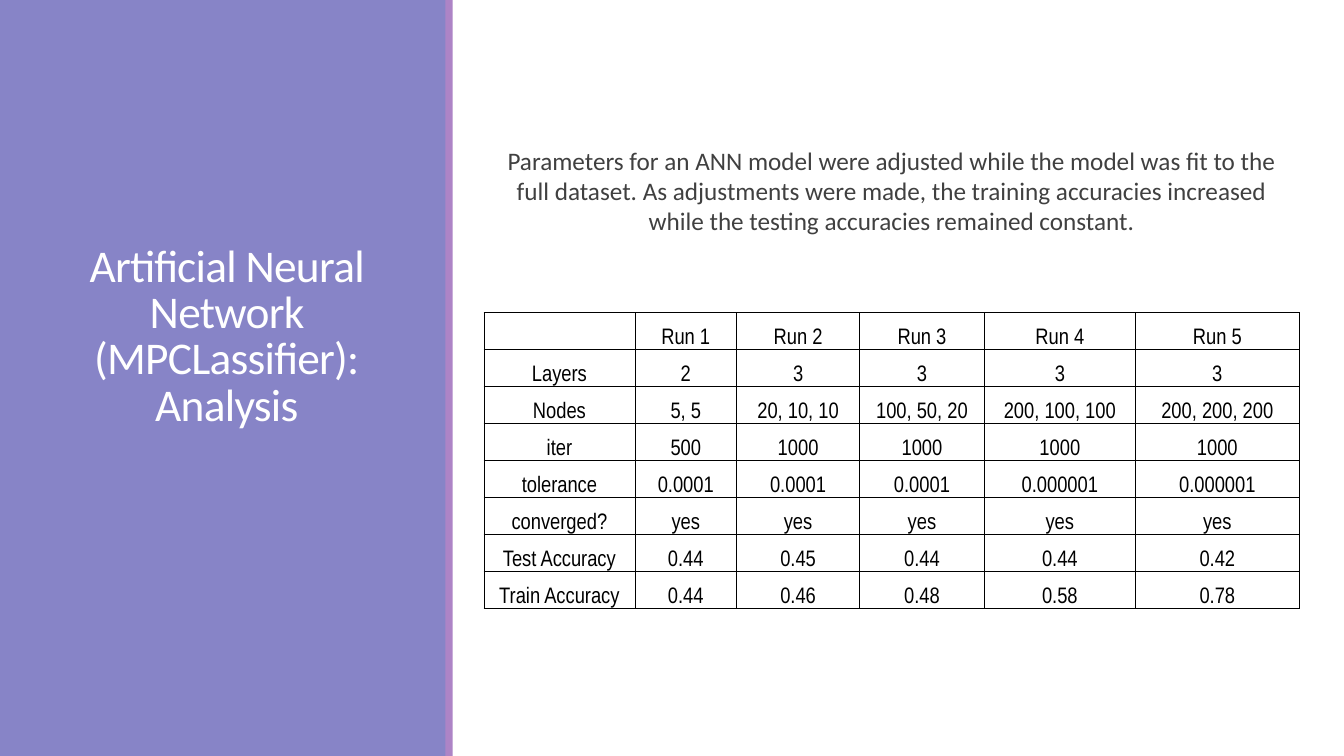
from dataclasses import dataclass

from lxml.etree import SubElement
from pptx import Presentation
from pptx.dml.color import RGBColor
from pptx.enum.shapes import MSO_SHAPE
from pptx.enum.text import MSO_ANCHOR as Anchor, MSO_AUTO_SIZE as AutoSize, PP_ALIGN as Align
from pptx.oxml import parse_xml
from pptx.oxml.ns import nsdecls, qn
from pptx.slide import Slide
from pptx.text.text import TextFrame
from pptx.util import Pt

COLORS = {
    "panel": "8784C7",
    "stripe": "AD84C6",
    "white": "FFFFFF",
    "body": "404040",
    "black": "000000",
}


@dataclass(frozen=True)
class Band:
    left: float
    width: float
    color: str


@dataclass(frozen=True)
class Measure:
    label: str
    values: tuple[str, ...]


BANDS = (Band(0, 319, "panel"), Band(318.24, 5.04, "stripe"))
SLIDE_WIDTH, SLIDE_HEIGHT = 960, 540
COLUMN_WIDTHS = (108, 72.5, 88, 89, 108, 117)
ROW_HEIGHT = 26.4

TITLE = "Artificial Neural Network (MPCLassifier):\nAnalysis"
SUMMARY = (
    "Parameters for an ANN model were adjusted while the model was fit to the full dataset. "
    "As adjustments were made, the training accuracies increased "
    "while the testing accuracies remained constant."
)
MEASURES = (
    Measure("", tuple(f"Run {number}" for number in range(1, 6))),
    Measure("Layers", ("2", "3", "3", "3", "3")),
    Measure("Nodes", ("5, 5", "20, 10, 10", "100, 50, 20", "200, 100, 100", "200, 200, 200")),
    Measure("iter", ("500", "1000", "1000", "1000", "1000")),
    Measure("tolerance", ("0.0001", "0.0001", "0.0001", "0.000001", "0.000001")),
    Measure("converged?", ("yes",) * 5),
    Measure("Test Accuracy", ("0.44", "0.45", "0.44", "0.44", "0.42")),
    Measure("Train Accuracy", ("0.44", "0.46", "0.48", "0.58", "0.78")),
)


def rgb(name: str) -> RGBColor:
    return RGBColor.from_string(COLORS[name])


def write(frame: TextFrame, text: str, *, size: float, color: str,
          font: str = "Calibri", line_spacing: float = 1.0) -> None:
    paragraph = frame.paragraphs[0]
    paragraph.alignment = Align.CENTER
    paragraph.line_spacing = line_spacing
    for index, line in enumerate(text.split("\n")):
        if index:
            paragraph.add_line_break()
        run = paragraph.add_run()
        run.text = line
        run.font.size = Pt(size)
        run.font.name = font
        run.font.color.rgb = rgb(color)


def draw_band(slide: Slide, band: Band) -> None:
    stripe = slide.shapes.add_shape(
        MSO_SHAPE.RECTANGLE, Pt(band.left), Pt(0), Pt(band.width), Pt(SLIDE_HEIGHT))
    stripe.shadow.inherit = False
    stripe.fill.solid()
    stripe.fill.fore_color.rgb = rgb(band.color)
    stripe.line.fill.background()


def draw_title(slide: Slide) -> None:
    title = slide.shapes.title
    slide.shapes.element.append(title.element)
    title.left, title.top, title.width, title.height = Pt(36), Pt(200), Pt(252), Pt(111)
    title.text_frame.word_wrap = True
    title.text_frame.auto_size = AutoSize.NONE
    title.text_frame.vertical_anchor = Anchor.BOTTOM
    write(title.text_frame, TITLE, size=32.4, color="white", line_spacing=0.85)
    for properties in title.element.iter(qn("a:rPr")):
        properties.set("spc", "-50")
    for line_break in title.element.iter(qn("a:br")):
        SubElement(line_break, qn("a:rPr"), sz="3240", spc="-50")


def draw_summary(slide: Slide) -> None:
    summary = slide.shapes.add_textbox(Pt(349.2), Pt(100), Pt(575.3), Pt(72.7))
    summary.text_frame.word_wrap = True
    write(summary.text_frame, SUMMARY, size=18, color="body")


def draw_runs(slide: Slide) -> None:
    runs_frame = slide.shapes.add_table(
        len(MEASURES), len(COLUMN_WIDTHS), Pt(345.6), Pt(223.2),
        Pt(sum(COLUMN_WIDTHS)), Pt(ROW_HEIGHT * len(MEASURES)))
    runs = runs_frame.table
    runs.first_row = runs.horz_banding = False
    for column, width in zip(runs.columns, COLUMN_WIDTHS):
        column.width = Pt(width)
    for row, measure in zip(runs.rows, MEASURES):
        row.height = Pt(ROW_HEIGHT)
        for cell, text in zip(row.cells, (measure.label, *measure.values)):
            cell.margin_left = cell.margin_right = cell.margin_top = Pt(0.72)
            cell.margin_bottom = Pt(0)
            cell.vertical_anchor = Anchor.BOTTOM
            cell.fill.solid()
            cell.fill.fore_color.rgb = rgb("white")
            if text:
                write(cell.text_frame, text, size=16, color="black", font="Arial Narrow")
    for properties in runs_frame.element.iter(qn("a:tcPr")):
        for index, side in enumerate(("lnL", "lnR", "lnT", "lnB")):
            properties.insert(index, parse_xml(
                f'<a:{side} {nsdecls("a")} w="{Pt(0.5)}"><a:solidFill>'
                f'<a:srgbClr val="{COLORS["black"]}"/></a:solidFill></a:{side}>'))


def main() -> None:
    deck = Presentation()
    deck.slide_width, deck.slide_height = Pt(SLIDE_WIDTH), Pt(SLIDE_HEIGHT)
    slide = deck.slides.add_slide(deck.slide_layouts[5])
    for band in BANDS:
        draw_band(slide, band)
    draw_title(slide)
    draw_summary(slide)
    draw_runs(slide)
    deck.save("out.pptx")


if __name__ == "__main__":
    main()
